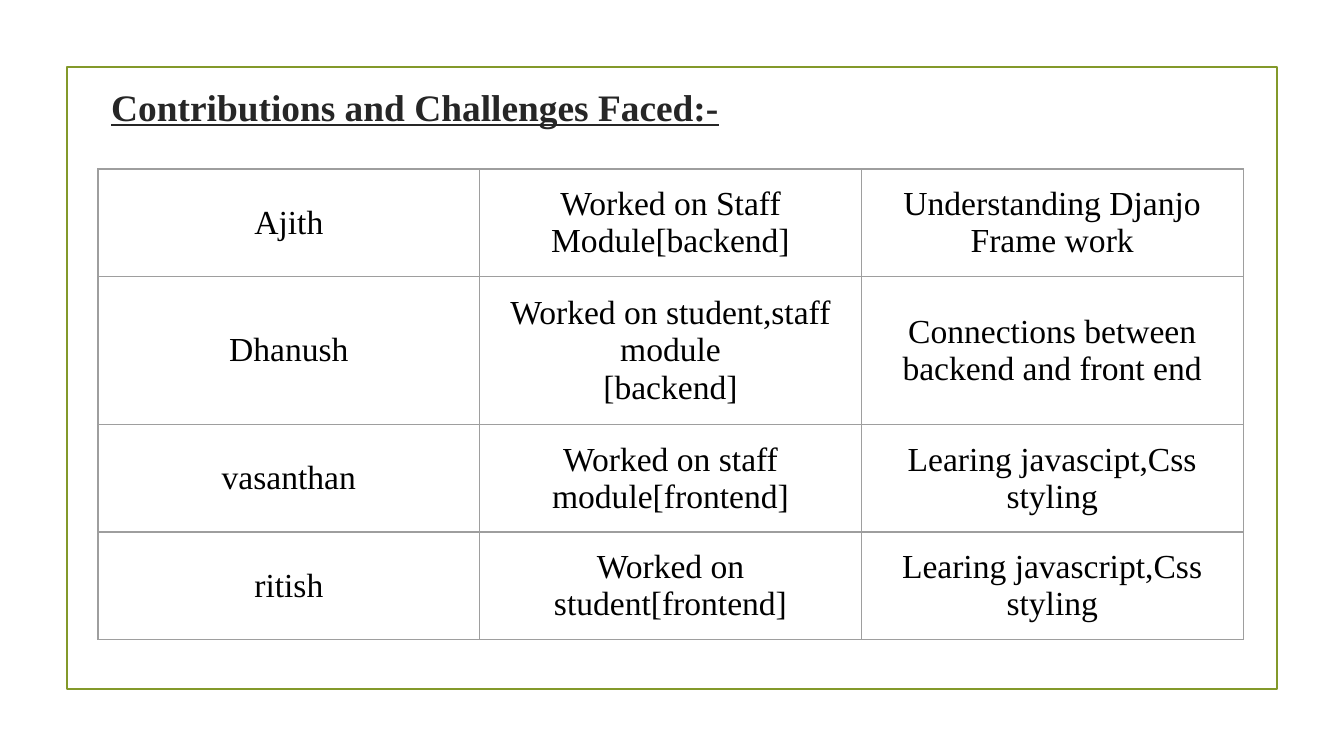
from lxml.etree import SubElement
from pptx import Presentation
from pptx.dml.color import RGBColor
from pptx.enum.shapes import MSO_SHAPE
from pptx.enum.text import MSO_ANCHOR, PP_ALIGN
from pptx.oxml.ns import qn
from pptx.util import Pt

# Content: name, contribution, challenge; each cell is a list of paragraphs
TITLE = "Contributions and Challenges Faced:-"
ROWS = [
    (["Ajith"], ["Worked on Staff Module[backend]"],
     ["Understanding Djanjo", "Frame work"]),
    (["Dhanush"], ["Worked on student,staff module", "[backend]"],
     ["Connections between backend and front end"]),
    (["vasanthan"], ["Worked on staff module[frontend]"],
     ["Learing javascipt,Css styling"]),
    (["ritish"], ["Worked on student[frontend]"],
     ["Learing javascript,Css styling"]),
]

THEME = {
    "font": "Times New Roman",
    "title_size": 20, "cell_size": 18,
    "title": "262626", "cell": "000000",
    "frame": "83992A", "grid": "9E9E9E", "paper": "FFFFFF",
}

# Layout in points
SLIDE = (720, 405)
MARGIN = 36
LEFT = 52.5
TITLE_SIZE = (667, 45)
TABLE_TOP, TABLE_WIDTH = 90.5, 613.5
ROW_HEIGHT = 47.5  # rows grow to fit their text
INSET = 7.2


def color(name):
    return RGBColor.from_string(THEME[name])


def set_insets(target):
    for side in ("left", "top", "right", "bottom"):
        setattr(target, f"margin_{side}", Pt(INSET))


def add_span(para, text, kind):
    span = para.add_run()
    span.text = text
    span.font.name = THEME["font"]
    span.font.size = Pt(THEME[f"{kind}_size"])
    span.font.color.rgb = color(kind)
    return span


def add_cell_borders(cell, width=0.75):
    properties = cell._tc.get_or_add_tcPr()
    for position, tag in enumerate(("a:lnL", "a:lnR", "a:lnT", "a:lnB")):
        line = SubElement(properties, qn(tag), w=str(Pt(width)))
        fill = SubElement(line, qn("a:solidFill"))
        SubElement(fill, qn("a:srgbClr"), val=THEME["grid"])
        properties.insert(position, line)  # borders come before the fill


def fill_cell(cell, lines):
    cell.fill.solid()
    cell.fill.fore_color.rgb = color("paper")
    cell.vertical_anchor = MSO_ANCHOR.MIDDLE
    set_insets(cell)
    add_cell_borders(cell)
    frame = cell.text_frame
    for index, text in enumerate(lines):
        para = frame.add_paragraph() if index else frame.paragraphs[0]
        para.alignment = PP_ALIGN.CENTER
        add_span(para, text, "cell")


deck = Presentation()
deck.slide_width, deck.slide_height = map(Pt, SLIDE)
page = deck.slides.add_slide(deck.slide_layouts[6])

# Frame around the page
border = page.shapes.add_shape(
    MSO_SHAPE.RECTANGLE, Pt(MARGIN), Pt(MARGIN),
    *(Pt(length - 2 * MARGIN) for length in SLIDE))
border.shadow.inherit = False
border.fill.background()
border.line.color.rgb = color("frame")
border.line.width = Pt(1.25)

# Title
box = page.shapes.add_textbox(Pt(LEFT), Pt(MARGIN), *map(Pt, TITLE_SIZE))
box.text_frame.word_wrap = True
box.text_frame.vertical_anchor = MSO_ANCHOR.MIDDLE
set_insets(box.text_frame)
heading = box.text_frame.paragraphs[0]
heading.line_spacing = 0.9
span = add_span(heading, TITLE, "title")
span.font.bold = True
span.font.underline = True

# Table of contributions and challenges
table = page.shapes.add_table(
    len(ROWS), len(ROWS[0]), Pt(LEFT), Pt(TABLE_TOP),
    Pt(TABLE_WIDTH), Pt(ROW_HEIGHT * len(ROWS))).table
table.first_row = table.horz_banding = False
for row_index, row in enumerate(ROWS):
    for column_index, lines in enumerate(row):
        fill_cell(table.cell(row_index, column_index), lines)

deck.save("out.pptx")
